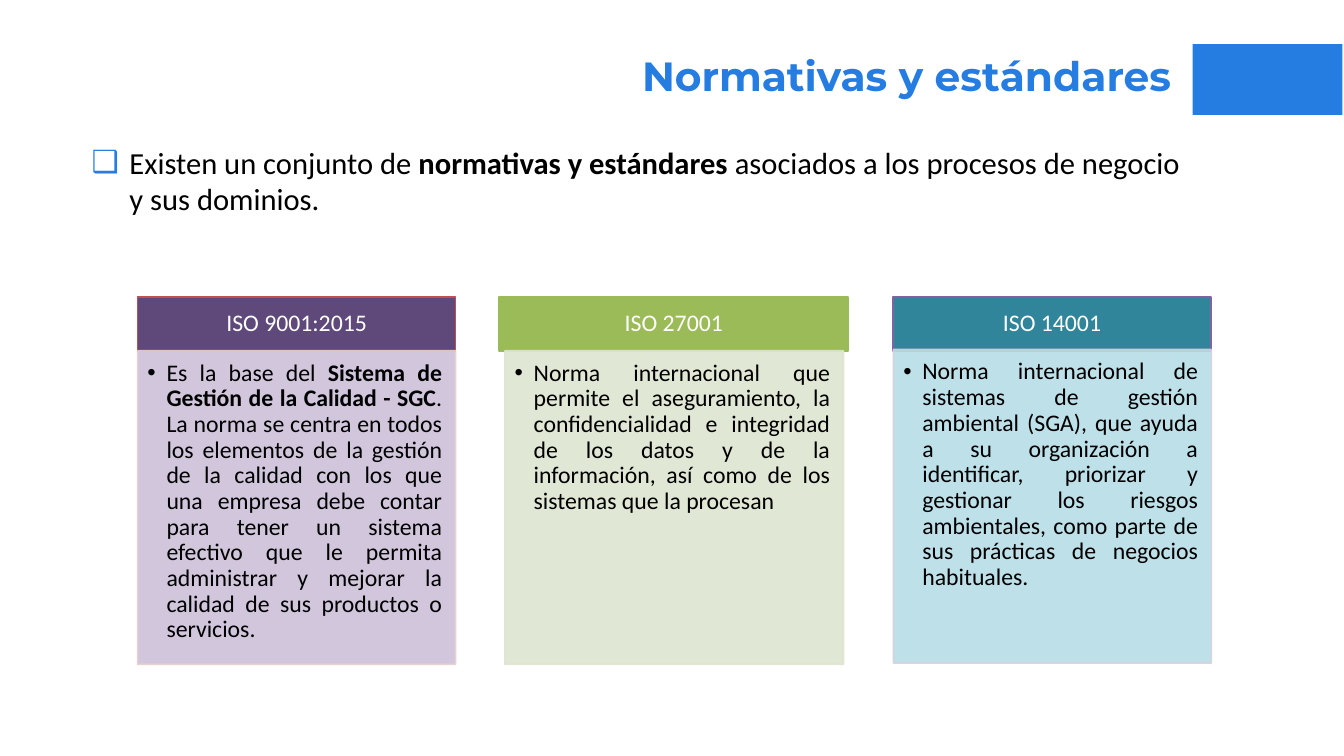
from dataclasses import dataclass

from lxml import etree
from pptx import Presentation
from pptx import util as u
from pptx.dml.color import RGBColor
from pptx.enum import shapes, text
from pptx.oxml.ns import qn


@dataclass(frozen=True)
class Theme:
    blue: str = "257CE1"
    black: str = "000000"
    white: str = "FFFFFF"
    face: str = "Calibri"
    display: str = "Montserrat"
    title: int = 48
    intro: int = 36
    card: int = 28


THEME = Theme()
HEAD_TOP, HEAD_H = 12.34, 2.24
BODY_H = 13.03

INTRO = ("Existen un conjunto de *normativas y estándares *asociados a los "
         "procesos de negocio y sus dominios.")

# name, head (left, width, fill, line), body (left, top, width, fill, line), text
CARDS = [
    ("ISO 9001:2015", (5.72, 13.21, "5F497A", "BF504D"),
     (5.72, 14.58, 13.21, "CCC0D9", "E7CFCF"),
     "Es la base del *Sistema de Gestión de la Calidad - SGC*. La norma se "
     "centra en todos los elementos de la gestión de la calidad con los que "
     "una empresa debe contar para tener un sistema efectivo que le permita "
     "administrar y mejorar la calidad de sus productos o servicios."),
    ("ISO 27001", (20.75, 14.5, "9BBB59", "9BBB59"),
     (20.98, 14.58, 14.07, "DDE5D0", "DDE5D0"),
     "Norma internacional que permite el aseguramiento, la confidencialidad "
     "e integridad de los datos y de la información, así como de los "
     "sistemas que la procesan"),
    ("ISO 14001", (37.11, 13.21, "31859B", "8064A2"),
     (37.13, 14.53, 13.21, "B6DDE7", "D7D1DF"),
     "Norma internacional de sistemas de gestión ambiental (SGA), que ayuda "
     "a su organización a identificar, priorizar y gestionar los riesgos "
     "ambientales, como parte de sus prácticas de negocios habituales."),
]


def apply(item, values):
    for name, value in values.items():
        setattr(item, name, value)


def add_rect(slide, box, fill, line=None, alpha=None):
    rect = slide.shapes.add_shape(shapes.MSO_SHAPE.RECTANGLE, *map(u.Cm, box))
    rect.shadow.inherit = False
    rect.fill.solid()
    rect.fill.fore_color.rgb = RGBColor.from_string(fill)
    if line:
        rect.line.width = u.Pt(2)
        rect.line.color.rgb = RGBColor.from_string(line)
    else:
        rect.line.fill.background()
    if alpha:
        props = rect.fill._xPr
        for color in props.iter(qn("a:srgbClr")):
            etree.SubElement(color, qn("a:alpha"), val=str(alpha * 1000))
    return rect


def set_frame(frame, pads, anchor=text.MSO_ANCHOR.TOP):
    sides = ("margin_left", "margin_top", "margin_right", "margin_bottom")
    apply(frame, dict(zip(sides, map(u.Cm, pads))))
    apply(frame, {"word_wrap": True, "vertical_anchor": anchor})


def add_bullet(para, char, color, indent):
    props = para._p.get_or_add_pPr()
    props.set("marL", str(u.Cm(indent)))
    props.set("indent", str(-u.Cm(indent)))
    tint = etree.SubElement(props, qn("a:buClr"))
    etree.SubElement(tint, qn("a:srgbClr"), val=color)
    etree.SubElement(props, qn("a:buFont"), typeface="Arial")
    etree.SubElement(props, qn("a:buChar"), char=char)


def write(para, words, size, color, face=THEME.face, bold=False, **layout):
    """Fill a paragraph; words between asterisks are bold."""
    apply(para, layout)
    for place, part in enumerate(words.split("*")):
        run = para.add_run()
        run.text = part
        apply(run.font, {"name": face, "size": u.Pt(size),
                         "bold": bold or place % 2 == 1})
        run.font.color.rgb = RGBColor.from_string(color)


def add_text(slide, box, pads):
    frame = slide.shapes.add_textbox(*map(u.Cm, box)).text_frame
    set_frame(frame, pads)
    return frame.paragraphs[0]


def add_title(slide):
    add_rect(slide, (49.56, 1.83, 6.22, 2.95), THEME.blue)
    para = add_text(slide, (23.27, 2.11, 25.4, 4.11), (0, 0, 0, 0))
    write(para, "Normativas y estándares", THEME.title, THEME.blue,
          THEME.display, True, alignment=text.PP_ALIGN.RIGHT)


def add_intro(slide):
    para = add_text(slide, (3.56, 5.84, 46.15, 3.33), (0.25, 0.13, 0.25, 0.13))
    add_bullet(para, "❑", THEME.blue, 1.57)
    write(para, INTRO, THEME.intro, THEME.black)


def add_card(slide, name, head, body, words):
    left, width, fill, line = head
    frame = add_rect(slide, (left, HEAD_TOP, width, HEAD_H), fill, line).text_frame
    set_frame(frame, (0.56, 0.3, 0.56, 0.3), text.MSO_ANCHOR.MIDDLE)
    write(frame.paragraphs[0], name, THEME.card, THEME.white,
          alignment=text.PP_ALIGN.CENTER, line_spacing=0.9)

    left, top, width, fill, line = body
    frame = add_rect(slide, (left, top, width, BODY_H), fill, line, 90).text_frame
    set_frame(frame, (0.41, 0.41, 0.56, 0.61))
    para = frame.paragraphs[0]
    add_bullet(para, "•", THEME.black, 0.79)
    write(para, words, THEME.card, THEME.black, level=1,
          alignment=text.PP_ALIGN.JUSTIFY, line_spacing=0.9)


def main():
    deck = Presentation()
    apply(deck, {"slide_width": u.Cm(55.85), "slide_height": u.Cm(31.42)})
    slide = deck.slides.add_slide(deck.slide_layouts[6])
    add_title(slide)
    add_intro(slide)
    for card in CARDS:
        add_card(slide, *card)
    deck.save("out.pptx")


if __name__ == "__main__":
    main()
